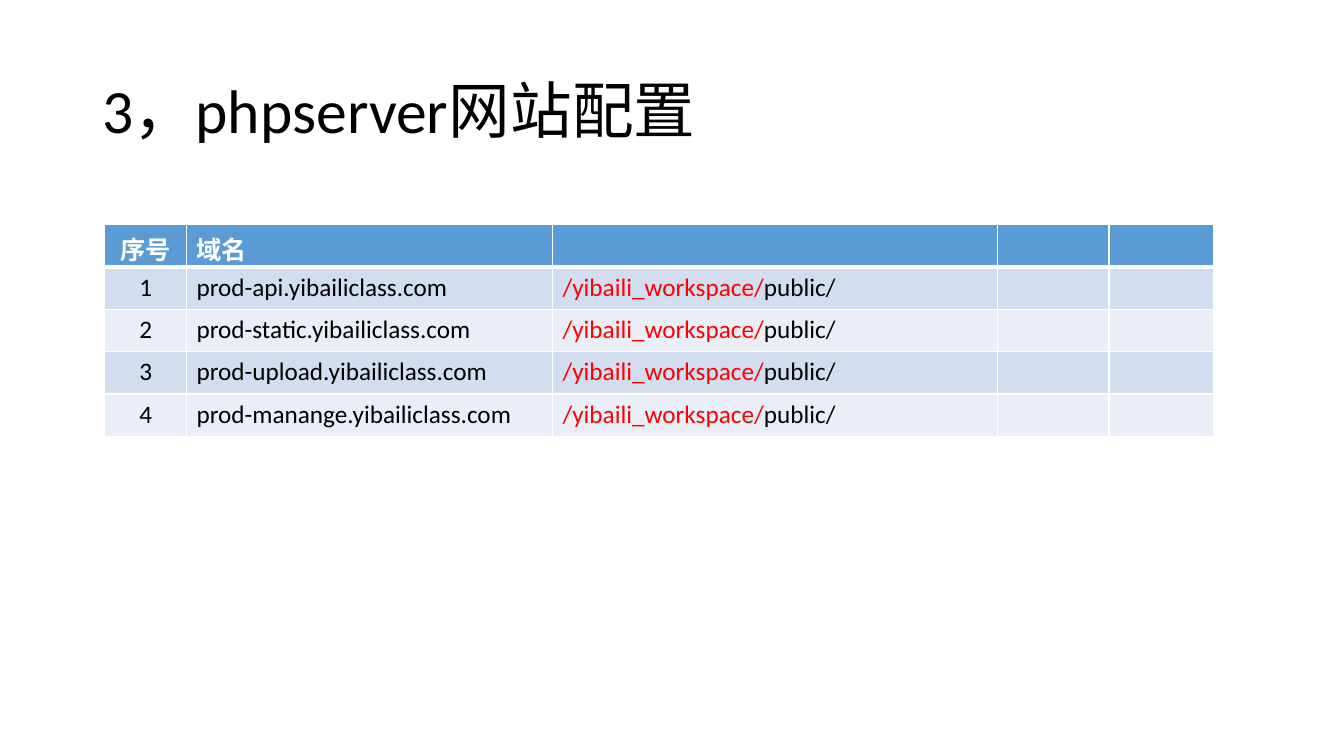
from lxml import etree
from pptx import Presentation
from pptx.dml.color import RGBColor
from pptx.enum.text import MSO_ANCHOR, PP_ALIGN
from pptx.oxml.ns import qn
from pptx.util import Inches, Pt

MIDDLE = MSO_ANCHOR.MIDDLE
CENTER, LEFT = PP_ALIGN.CENTER, PP_ALIGN.LEFT

TITLE = "3，phpserver网站配置"
HEADERS = ["序号", "域名", "", "", ""]
DOMAINS = [
    "prod-api.yibailiclass.com",
    "prod-static.yibailiclass.com",
    "prod-upload.yibailiclass.com",
    "prod-manange.yibailiclass.com",
]
WORKSPACE, FOLDER = "/yibaili_workspace/", "public/"
COL_WIDTHS = [0.81, 3.63, 4.41, 1.11, 1.04]
ROW_HEIGHT = 0.42
FONT = "Calibri"
COLORS = {
    "text": "000000",
    "white": "FFFFFF",
    "header": "5B9BD5",
    "odd": "D2DEEF",
    "even": "EAEFF7",
    "workspace": "FF0000",
}


def rgb(name):
    return RGBColor.from_string(COLORS[name])


def set_font(font, size, color, bold=False):
    font.name = FONT
    font.size = Pt(size)
    font.bold = bold
    font.color.rgb = rgb(color)


def set_borders(cell, bottom_width):
    tcPr = cell._tc.get_or_add_tcPr()
    widths = {"a:lnL": 1, "a:lnR": 1, "a:lnT": 1, "a:lnB": bottom_width}
    for tag, width in widths.items():
        ln = etree.SubElement(tcPr, qn(tag), w=str(Pt(width)))
        fill = etree.SubElement(ln, qn("a:solidFill"))
        etree.SubElement(fill, qn("a:srgbClr"), val=COLORS["white"])


def add_title(slide):
    sp = slide.shapes.add_textbox(Inches(0.92), Inches(0.4), Inches(11.5), Inches(1.45))
    tf = sp.text_frame
    tf.word_wrap = True
    tf.vertical_anchor = MIDDLE
    p = tf.paragraphs[0]
    p.text = TITLE
    p.line_spacing = 0.9
    set_font(p.font, 44, "text")


def add_sites(slide):
    rows = [[[h] for h in HEADERS]]
    for number, domain in enumerate(DOMAINS, 1):
        rows.append([[str(number)], [domain], [WORKSPACE, FOLDER], [], []])

    table = slide.shapes.add_table(
        len(rows), len(COL_WIDTHS), Inches(1.04), Inches(2.23),
        Inches(sum(COL_WIDTHS)), Inches(ROW_HEIGHT * len(rows))).table
    for column, width in zip(table.columns, COL_WIDTHS):
        column.width = Inches(width)

    for i, row in enumerate(rows):
        table.rows[i].height = Inches(ROW_HEIGHT)
        is_header = i == 0
        band = "header" if is_header else "odd" if i % 2 else "even"
        for j, parts in enumerate(row):
            cell = table.cell(i, j)
            set_borders(cell, 3 if is_header else 1)
            cell.fill.solid()
            cell.fill.fore_color.rgb = rgb(band)
            p = cell.text_frame.paragraphs[0]
            p.alignment = CENTER if j == 0 else LEFT
            set_font(p.font, 18, "white" if is_header else "text", is_header)
            for part in filter(None, parts):
                r = p.add_run()
                r.text = part
                if part == WORKSPACE:
                    r.font.color.rgb = rgb("workspace")


def main():
    prs = Presentation()
    prs.slide_width, prs.slide_height = Inches(13.33), Inches(7.5)
    slide = prs.slides.add_slide(prs.slide_layouts[6])
    add_title(slide)
    add_sites(slide)
    prs.save("out.pptx")


if __name__ == "__main__":
    main()
